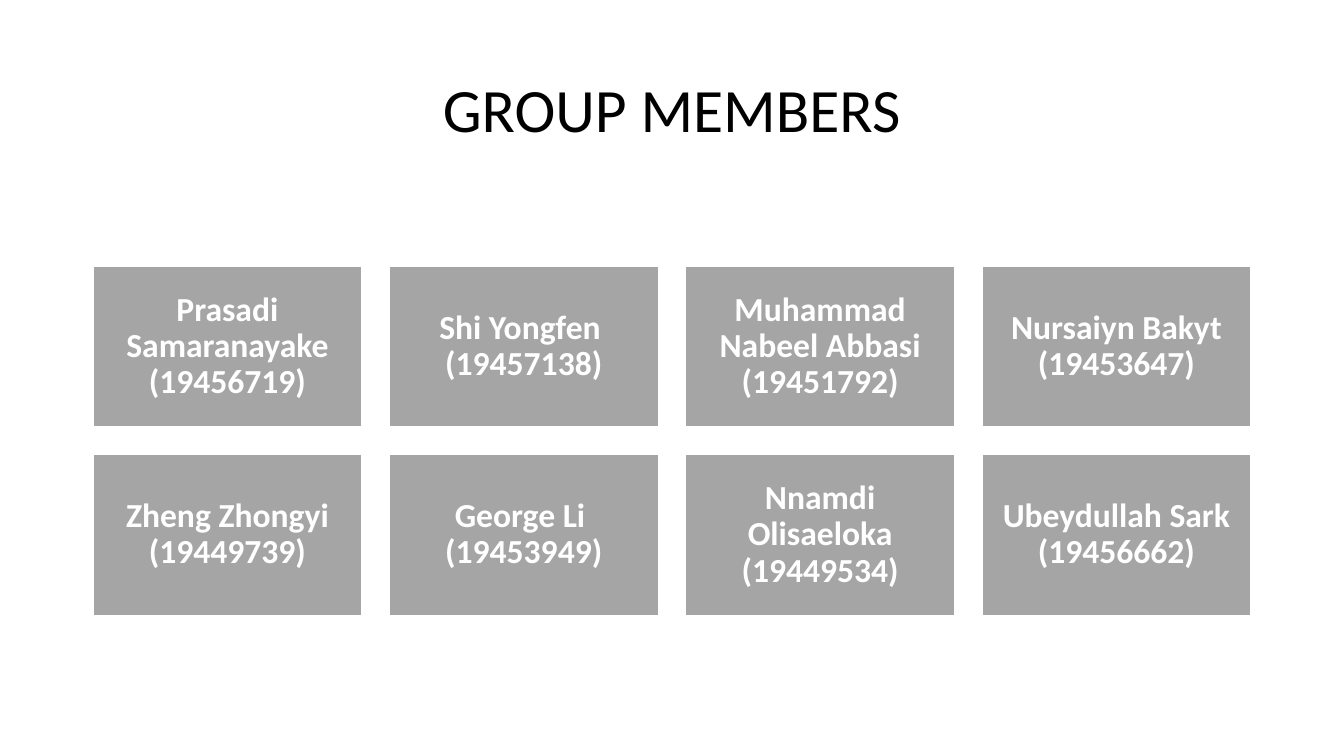
from pptx import Presentation
from pptx.dml.color import RGBColor
from pptx.enum.shapes import MSO_SHAPE
from pptx.enum.text import MSO_ANCHOR, MSO_AUTO_SIZE, PP_ALIGN
from pptx.util import Emu, Pt

# Content
TITLE = "GROUP MEMBERS"
MEMBERS = [
    "Prasadi Samaranayake (19456719)",
    "Shi Yongfen \v(19457138)",
    "Muhammad Nabeel Abbasi (19451792)",
    "Nursaiyn Bakyt (19453647)",
    "Zheng Zhongyi (19449739)",
    "George Li \v(19453949)",
    "Nnamdi Olisaeloka (19449534)",
    "Ubeydullah Sark (19456662)",
]

# Style
FONT = "Calibri"
BLACK = RGBColor(0x00, 0x00, 0x00)
WHITE = RGBColor(0xFF, 0xFF, 0xFF)
GREY = RGBColor(0xA5, 0xA5, 0xA5)
RECTANGLE = MSO_SHAPE.RECTANGLE
MIDDLE = MSO_ANCHOR.MIDDLE
CENTER = PP_ALIGN.CENTER
NO_AUTOFIT = MSO_AUTO_SIZE.NONE

# Layout in px
PAGE_WIDTH, PAGE_HEIGHT = 1344, 756
MARGIN = 93
CONTENT_WIDTH = PAGE_WIDTH - 2 * MARGIN
TITLE_TOP, TITLE_HEIGHT = 40, 146
COLUMNS = 4
CARD_WIDTH, CARD_HEIGHT = 269, 161
GRID_TOP = 266
GAP = (CONTENT_WIDTH - COLUMNS * CARD_WIDTH) / (COLUMNS - 1)
INSET = 10


def px(length):
    return Emu(round(length * 914400 / 100.8))


def write(box, text, size, color, bold):
    frame = box.text_frame
    frame.text = text
    frame.word_wrap = True
    frame.auto_size = NO_AUTOFIT
    frame.vertical_anchor = MIDDLE
    frame.margin_left = frame.margin_right = px(INSET)
    frame.margin_top = frame.margin_bottom = px(INSET)
    para = frame.paragraphs[0]
    para.alignment = CENTER
    para.line_spacing = 0.9
    for span in para.runs:
        span.font.name = FONT
        span.font.size = Pt(size)
        span.font.bold = bold
        span.font.color.rgb = color


def add_card(page, index, member):
    row, column = divmod(index, COLUMNS)
    card = page.shapes.add_shape(
        RECTANGLE,
        px(MARGIN + column * (CARD_WIDTH + GAP)),
        px(GRID_TOP + row * (CARD_HEIGHT + GAP)),
        px(CARD_WIDTH),
        px(CARD_HEIGHT),
    )
    card.shadow.inherit = False
    card.fill.solid()
    card.fill.fore_color.rgb = GREY
    card.line.color.rgb = WHITE
    card.line.width = Pt(1)
    write(card, member, 24, WHITE, True)


def main():
    deck = Presentation()
    deck.slide_width, deck.slide_height = px(PAGE_WIDTH), px(PAGE_HEIGHT)
    page = deck.slides.add_slide(deck.slide_layouts.get_by_name("Title Only"))

    # Title
    title = page.shapes.title
    title.left, title.top = px(MARGIN), px(TITLE_TOP)
    title.width, title.height = px(CONTENT_WIDTH), px(TITLE_HEIGHT)
    write(title, TITLE, 44, BLACK, False)

    # Member cards
    for index, member in enumerate(MEMBERS):
        add_card(page, index, member)

    deck.save("out.pptx")


if __name__ == "__main__":
    main()
